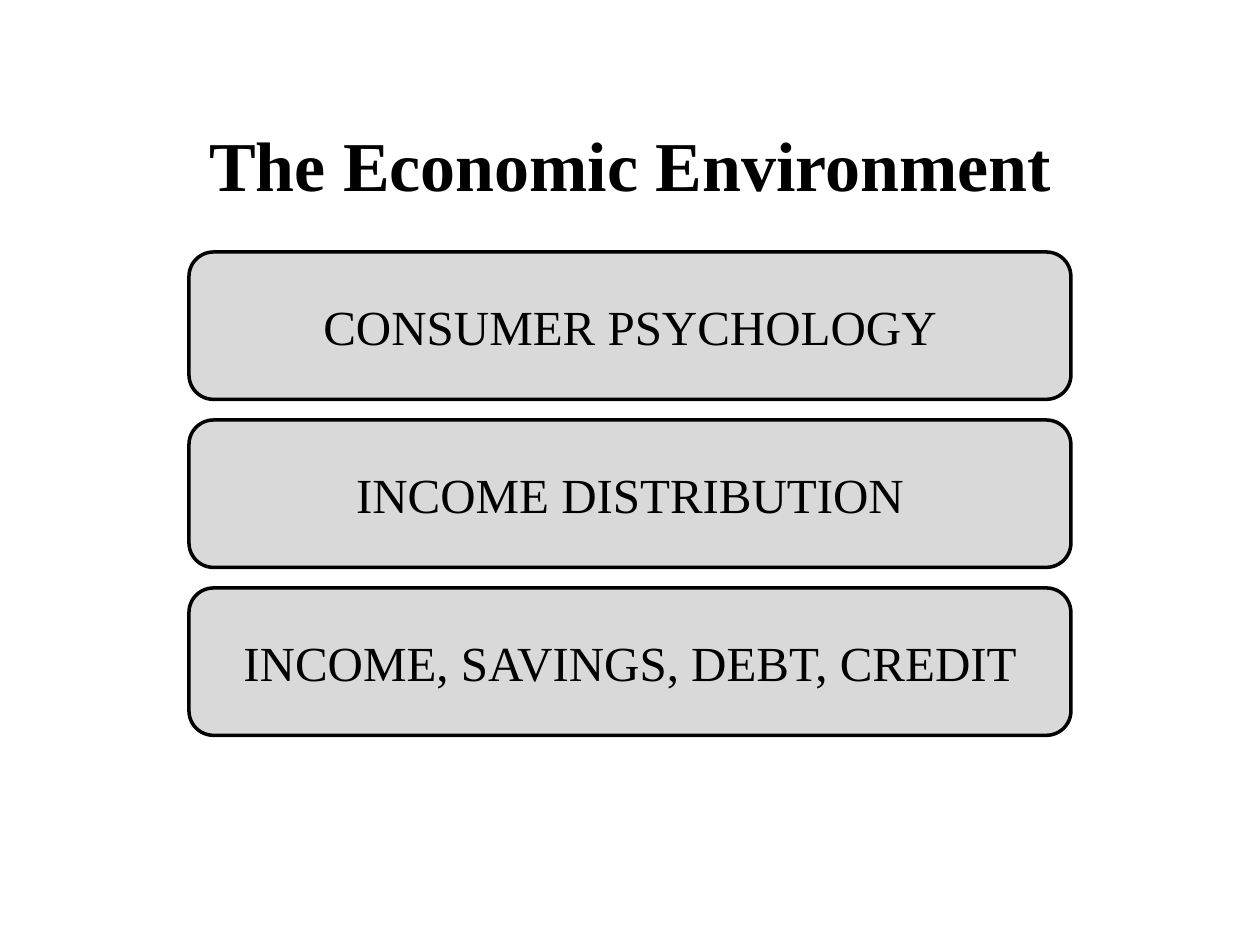
from dataclasses import dataclass

from pptx import Presentation
from pptx.dml.color import RGBColor
from pptx.enum.shapes import MSO_SHAPE as SHAPE
from pptx.enum.text import MSO_ANCHOR as ANCHOR, PP_ALIGN as ALIGN
from pptx.util import Inches, Pt


@dataclass(frozen=True)
class Theme:
    font: str = "Times New Roman"
    ink: RGBColor = RGBColor(0, 0, 0)
    panel: RGBColor = RGBColor(0xD9, 0xD9, 0xD9)
    title_size: Pt = Pt(40)
    panel_size: Pt = Pt(28)
    outline: Pt = Pt(2)


class SlideBuilder:
    def __init__(self, slide, theme):
        self.slide = slide
        self.theme = theme

    def label(self, sp, text, **formats):
        tf = sp.text_frame
        tf.word_wrap = True
        tf.vertical_anchor = ANCHOR.MIDDLE
        p = tf.paragraphs[0]
        p.alignment = ALIGN.CENTER
        r = p.add_run()
        r.text = text
        for name, value in {"name": self.theme.font, **formats}.items():
            setattr(r.font, name, value)
        r.font.color.rgb = self.theme.ink

    def title(self, text, left, top, width, height):
        sp = self.slide.shapes.title
        box = {"left": left, "top": top, "width": width, "height": height}
        for name, value in box.items():
            setattr(sp, name, value)
        self.label(sp, text, size=self.theme.title_size, bold=True)

    def panel(self, text, left, top, width, height):
        sp = self.slide.shapes.add_shape(
            SHAPE.ROUNDED_RECTANGLE, left, top, width, height
        )
        sp.shadow.inherit = False
        sp.fill.solid()
        sp.fill.fore_color.rgb = self.theme.panel
        sp.line.color.rgb = self.theme.ink
        sp.line.width = self.theme.outline
        self.label(sp, text, size=self.theme.panel_size)


def main():
    prs = Presentation()
    prs.slide_width, prs.slide_height = Inches(10), Inches(7.5)
    s = SlideBuilder(prs.slides.add_slide(prs.slide_layouts[5]), Theme())

    s.title("The Economic Environment",
            Inches(0.75), Inches(0.67), Inches(8.5), Inches(1.25))

    topics = [
        "CONSUMER PSYCHOLOGY",
        "INCOME DISTRIBUTION",
        "INCOME, SAVINGS, DEBT, CREDIT",
    ]
    first_top, pitch = 2, 4 / 3
    for i, topic in enumerate(topics):
        s.panel(topic, Inches(1.5), Inches(first_top + i * pitch),
                Inches(7), Inches(1.17))

    prs.save("out.pptx")


if __name__ == "__main__":
    main()
